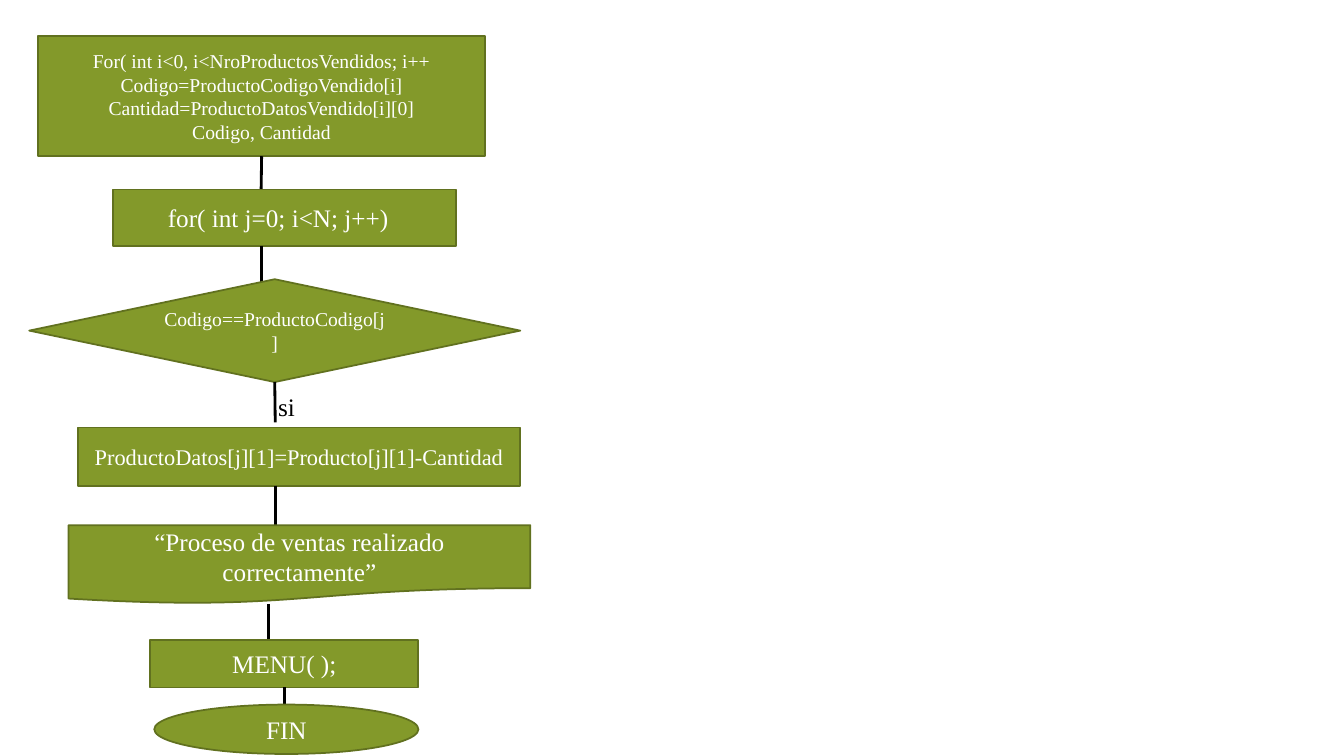
from lxml.etree import SubElement
from pptx import Presentation
from pptx.dml.color import RGBColor
from pptx.enum.shapes import MSO_CONNECTOR, MSO_SHAPE
from pptx.enum.text import MSO_ANCHOR, PP_ALIGN
from pptx.oxml.ns import qn
from pptx.util import Pt

PX = 9144  # 100 px to the inch
FONT = "Times New Roman"
COLORS = {"olive": "83992A", "edge": "61711F", "white": "FFFFFF", "black": "000000"}
BOTTOM_SITE = 2
SIDE_INSET = 10

# preset, (left, top, width, height), font size, lines of text,
# (x, end y) of the line that leaves the step, extra inset on the right
STEPS = [
    (MSO_SHAPE.RECTANGLE, (38, 36, 443, 119), 14,
     ["For( int i<0, i<NroProductosVendidos; i++",
      "Codigo=ProductoCodigoVendido[i]",
      "Cantidad=ProductoDatosVendido[i][0]",
      "Codigo, Cantidad"], (259, 188), 0),
    (MSO_SHAPE.RECTANGLE, (112, 188, 340, 56), 18,
     ["for( int j=0; i<N; j++)"], (259, 290), 12),
    (MSO_SHAPE.FLOWCHART_DECISION, (29, 277, 487, 102), 14,
     ["Codigo==ProductoCodigo[j]"], (273, 419), 0),
    (MSO_SHAPE.RECTANGLE, (77, 424, 439, 58), 16,
     ["ProductoDatos[j][1]=Producto[j][1]-Cantidad"], (273, 521), 0),
    (MSO_SHAPE.FLOWCHART_DOCUMENT, (68, 521, 458, 78), 18,
     ["“Proceso de ventas realizado correctamente”"], (266, 634), 0),
    (MSO_SHAPE.RECTANGLE, (149, 635, 266, 47), 18,
     ["MENU( );"], (282, 705), 0),
    (MSO_SHAPE.OVAL, (153, 699, 262, 49), 18, ["FIN"], None, 0),
]
YES_LABEL = ("si", (266, 383, 64, 40), 18)


def color(name):
    return RGBColor.from_string(COLORS[name])


def emu(lengths):
    return [length * PX for length in lengths]


def write(frame, lines, size, color_name, align):
    frame.word_wrap = True
    frame.text = "\n".join(lines)
    for paragraph in frame.paragraphs:
        paragraph.alignment = align
        paragraph.font.name = FONT
        paragraph.font.size = Pt(size)
        paragraph.font.color.rgb = color(color_name)


def add_step(slide, preset, box, size, lines, extra_inset):
    step = slide.shapes.add_shape(preset, *emu(box))
    step.shadow.inherit = False
    step.fill.solid()
    step.fill.fore_color.rgb = color("olive")
    step.line.color.rgb = color("edge")
    step.line.width = Pt(1.25)
    step.text_frame.vertical_anchor = MSO_ANCHOR.MIDDLE
    step.text_frame.margin_right = (SIDE_INSET + extra_inset) * PX
    write(step.text_frame, lines, size, "white", PP_ALIGN.CENTER)
    return step


def add_exit_line(slide, step, box, x, end_y):
    """Draw the line below a step, joined to it when it leaves from the middle."""
    left, top, width, height = box
    line = slide.shapes.add_connector(
        MSO_CONNECTOR.STRAIGHT, *emu((x, top + height, x, end_y)))
    line.line.color.rgb = color("black")
    line.line.width = Pt(2)
    SubElement(line._element.spPr, qn("a:effectLst"))
    if abs(left + width / 2 - x) < 1:
        line.begin_connect(step, BOTTOM_SITE)


def main():
    prs = Presentation()
    prs.slide_width, prs.slide_height = emu((1333, 750))
    slide = prs.slides.add_slide(prs.slide_layouts[6])

    for preset, box, size, lines, exit_line, extra_inset in STEPS:
        step = add_step(slide, preset, box, size, lines, extra_inset)
        if exit_line:
            add_exit_line(slide, step, box, *exit_line)

    answer, box, size = YES_LABEL
    label = slide.shapes.add_textbox(*emu(box))
    write(label.text_frame, [answer], size, "black", PP_ALIGN.LEFT)

    prs.save("out.pptx")


if __name__ == "__main__":
    main()
